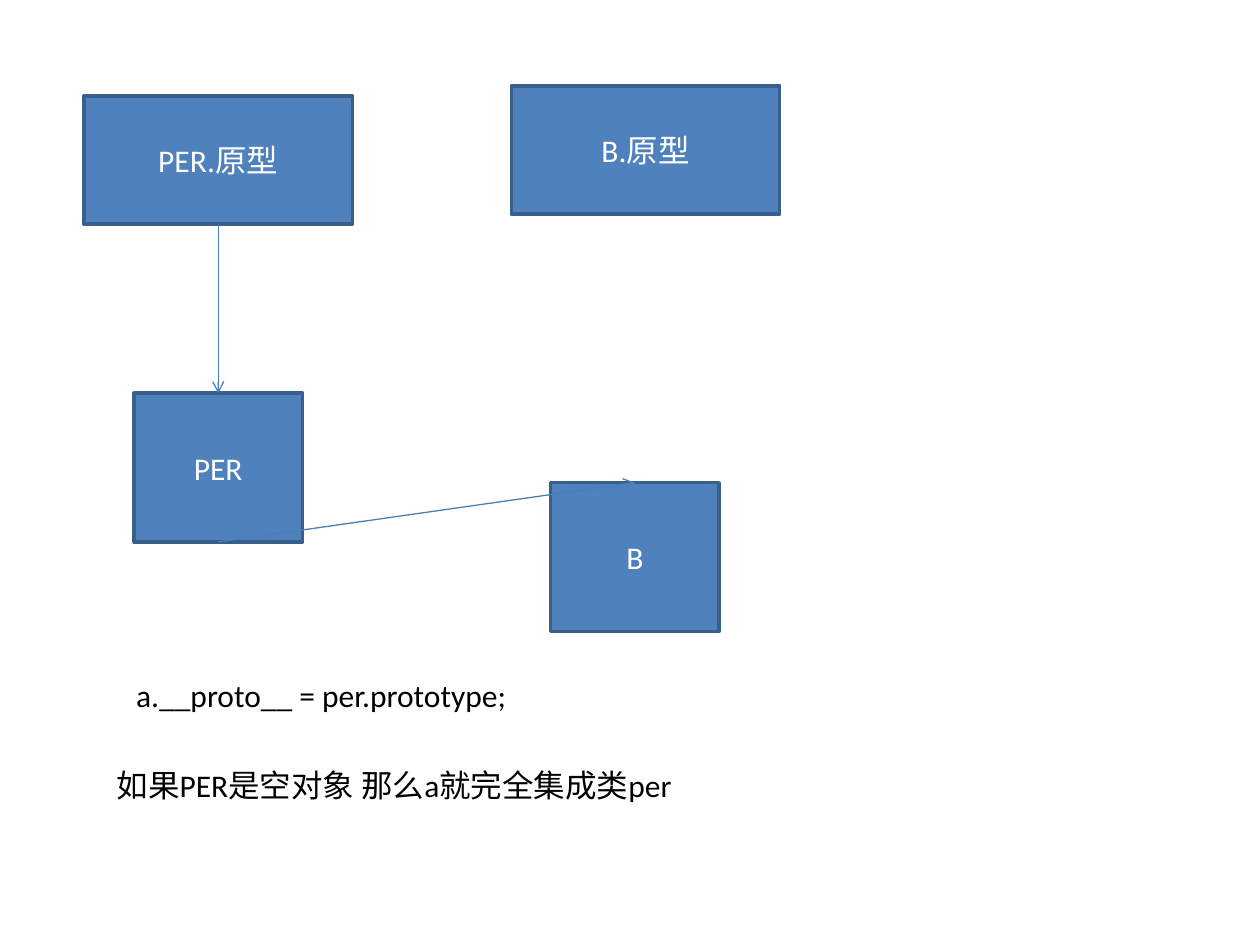
from dataclasses import dataclass

import pptx
import pptx.dml.color
import pptx.enum.shapes
import pptx.enum.text
import pptx.oxml.ns
import pptx.shapes.autoshape
import pptx.slide
import pptx.text.text
import pptx.util
from lxml import etree

Pt = pptx.util.Pt

BOX_FILL = "4F81BD"
BOX_LINE = "3A5F8C"
ARROW_LINE = "4B7EBC"
PROTOTYPE_SIZE = (153.4, 73.4)
OBJECT_SIZE = (96.4, 85)


@dataclass(frozen=True)
class Box:
    label: str
    left: float
    top: float
    size: tuple[float, float]


@dataclass(frozen=True)
class Note:
    wording: str
    left: float
    top: float
    width: float
    wraps: bool


PER = Box("PER", 76.5, 224.7, OBJECT_SIZE)
B = Box("B", 314.6, 275.8, OBJECT_SIZE)
PER_PROTOTYPE = Box("PER.原型", 48, 54.7, PROTOTYPE_SIZE)
B_PROTOTYPE = Box("B.原型", 292.2, 49, PROTOTYPE_SIZE)
BOXES = (PER, B, PER_PROTOTYPE, B_PROTOTYPE)
ARROWS = ((PER_PROTOTYPE, PER), (PER, B))
NOTES = (
    Note("a.__proto__ = per.prototype;", 70.7, 383, 228.2, False),
    Note("如果PER是空对象 那么a就完全集成类per", 59.5, 434, 368.6, True),
)


def color(value: str) -> pptx.dml.color.RGBColor:
    return pptx.dml.color.RGBColor.from_string(value)


def write(frame: pptx.text.text.TextFrame, wording: str, ink: str) -> None:
    frame.text = wording
    font = frame.paragraphs[0].runs[0].font
    font.name = "Calibri"
    font.size = Pt(18)
    font.color.rgb = color(ink)


def draw_box(slide: pptx.slide.Slide, box: Box) -> pptx.shapes.autoshape.Shape:
    width, height = box.size
    shape = slide.shapes.add_shape(
        pptx.enum.shapes.MSO_SHAPE.RECTANGLE,
        Pt(box.left), Pt(box.top), Pt(width), Pt(height),
    )
    shape.shadow.inherit = False
    shape.fill.solid()
    shape.fill.fore_color.rgb = color(BOX_FILL)
    shape.line.color.rgb = color(BOX_LINE)
    shape.line.width = Pt(2)
    write(shape.text_frame, box.label, "FFFFFF")
    shape.text_frame.vertical_anchor = pptx.enum.text.MSO_ANCHOR.MIDDLE
    shape.text_frame.paragraphs[0].alignment = pptx.enum.text.PP_ALIGN.CENTER
    return shape


def draw_arrow(
    slide: pptx.slide.Slide,
    source: pptx.shapes.autoshape.Shape,
    target: pptx.shapes.autoshape.Shape,
) -> None:
    """Join the bottom centre of source to the top centre of target."""
    arrow = slide.shapes.add_connector(
        pptx.enum.shapes.MSO_CONNECTOR.STRAIGHT, 0, 0, 0, 0
    )
    arrow.begin_connect(source, 2)
    arrow.end_connect(target, 0)
    arrow.line.color.rgb = color(ARROW_LINE)
    arrow.line.width = Pt(0.75)
    qn = pptx.oxml.ns.qn
    properties = arrow.element.spPr
    etree.SubElement(properties.find(qn("a:ln")), qn("a:tailEnd"), type="arrow")
    etree.SubElement(properties, qn("a:effectLst"))


def draw_note(slide: pptx.slide.Slide, note: Note) -> None:
    frame = slide.shapes.add_textbox(
        Pt(note.left), Pt(note.top), Pt(note.width), Pt(29)
    ).text_frame
    frame.word_wrap = note.wraps
    frame.auto_size = pptx.enum.text.MSO_AUTO_SIZE.SHAPE_TO_FIT_TEXT
    write(frame, note.wording, "000000")


def main() -> None:
    presentation = pptx.Presentation()
    presentation.slide_width = Pt(720)
    presentation.slide_height = Pt(540)
    slide = presentation.slides.add_slide(presentation.slide_layouts[6])
    drawn = {box: draw_box(slide, box) for box in BOXES}
    for source, target in ARROWS:
        draw_arrow(slide, drawn[source], drawn[target])
    for note in NOTES:
        draw_note(slide, note)
    presentation.save("out.pptx")


if __name__ == "__main__":
    main()
